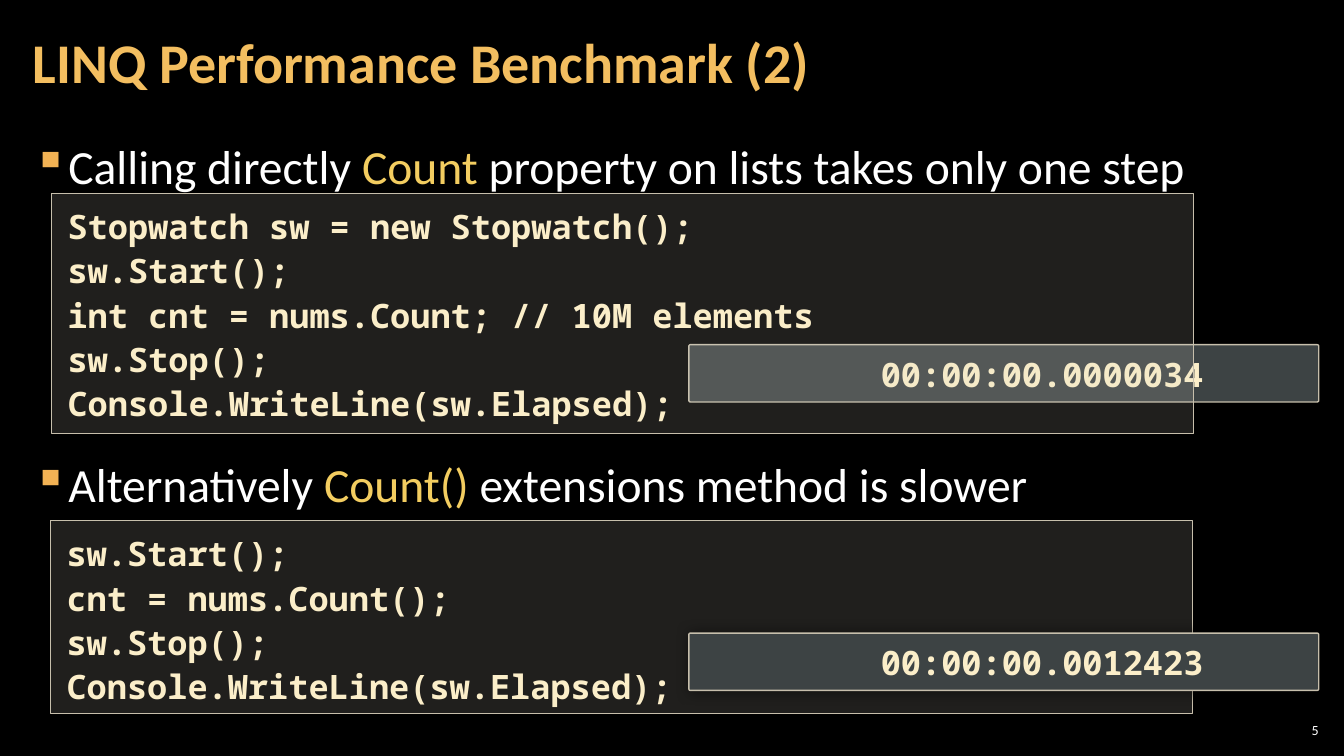
import pptx
import pptx.util
import pptx.dml.color
import pptx.enum.shapes
import pptx.enum.text
import pptx.oxml
import lxml.etree

Pt = pptx.util.Pt
SHAPES = pptx.enum.shapes.MSO_SHAPE
ANCHOR = pptx.enum.text.MSO_ANCHOR
ALIGN = pptx.enum.text.PP_ALIGN
qn = pptx.oxml.ns.qn

TITLE = "LINQ Performance Benchmark (2)"
PAGE_NUMBER = "5"
WHITE, GOLD, CREAM, BORDER = "FFFFFF", "F3CD60", "FBEEC9", "C7BFAC"
BULLETS = [
    (90.7, [("Calling directly ", WHITE), ("Count ", GOLD),
            ("property on lists takes only one step", WHITE)]),
    (317.7, [("Alternatively ", WHITE), ("Count()", GOLD),
             (" extensions method is slower", WHITE)]),
]
FAST_CODE = """Stopwatch sw = new Stopwatch();
sw.Start();
int cnt = nums.Count; // 10M elements
sw.Stop();
Console.WriteLine(sw.Elapsed);"""
SLOW_CODE = """sw.Start();
cnt = nums.Count();
sw.Stop();
Console.WriteLine(sw.Elapsed);"""


def color(hex_text):
    return pptx.dml.color.RGBColor.from_string(hex_text)


def add_xml(parent, tag, **attributes):
    element = lxml.etree.SubElement(parent, qn(tag))
    for name, value in attributes.items():
        element.set(name, str(value))
    return element


def set_frame(box, insets, anchor=ANCHOR.TOP):
    frame = box.text_frame
    frame.word_wrap = True
    frame.vertical_anchor = anchor
    frame.margin_left, frame.margin_top, frame.margin_right, frame.margin_bottom = map(Pt, insets)
    return frame


def style(span, size, hex_text, bold=False, name="Calibri"):
    span.font.size = Pt(size)
    span.font.name = name
    span.font.bold = bold
    span.font.color.rgb = color(hex_text)


def add_label(page, place, text, size, hex_text, insets, bold=False, align=ALIGN.LEFT, spacing=1.0):
    box = page.shapes.add_textbox(*map(Pt, place))
    frame = set_frame(box, insets, ANCHOR.MIDDLE)
    frame.text = text
    para = frame.paragraphs[0]
    para.alignment = align
    para.line_spacing = spacing
    style(para.runs[0], size, hex_text, bold)


def add_bullet(page, top, parts):
    box = page.shapes.add_textbox(Pt(15), Pt(top), Pt(930), Pt(60))
    para = set_frame(box, (8.5, 3, 8.5, 3)).paragraphs[0]
    para.line_spacing = 1.1
    para.space_before = para.space_after = Pt(6)
    for text, hex_text in parts:
        span = para.add_run()
        span.text = text
        style(span, 34, hex_text)
    properties = para._p.get_or_add_pPr()
    properties.set("marL", str(Pt(24)))
    properties.set("indent", str(-Pt(24)))
    add_xml(add_xml(properties, "a:buClr"), "a:srgbClr", val="F2B254")
    add_xml(properties, "a:buChar", char="▪")


def add_panel(page, kind, place, fill, text, insets, spacing):
    panel = page.shapes.add_shape(kind, *map(Pt, place))
    panel.shadow.inherit = False
    panel.fill.solid()
    panel.fill.fore_color.rgb = color(fill)
    panel.line.color.rgb = color(BORDER)
    panel.line.width = Pt(1)
    frame = set_frame(panel, insets)
    frame.text = text
    for para in frame.paragraphs:
        para.alignment = ALIGN.LEFT
        para.line_spacing = spacing
        style(para.runs[0], 24, CREAM, True, "Noto Sans Mono")
    return panel


def add_code(page, left, top, height, code):
    panel = add_panel(page, SHAPES.RECTANGLE, (left, top, 816, height), "D9D5C7",
                      code, (11.5, 6, 0, 6), 1.1)
    tint = panel._element.spPr.find(qn("a:solidFill"))[0]
    add_xml(tint, "a:alpha", val=15000)


def add_result(page, top, elapsed):
    panel = add_panel(page, SHAPES.ROUNDED_RECTANGLE, (492, top, 450, 41), "3D4344",
                      elapsed, (136.8, 6, 7, 6), 1.0)
    panel.adjustments[0] = 0.03
    effects = panel._element.spPr.find(qn("a:effectLst"))
    shadow = add_xml(effects, "a:outerShdw", blurRad=Pt(10), dist=0, dir=0,
                     algn="ctr", rotWithShape=0)
    add_xml(add_xml(shadow, "a:srgbClr", val="000000"), "a:alpha", val=50000)


def main():
    deck = pptx.Presentation()
    deck.slide_width, deck.slide_height = Pt(960), Pt(540)
    page = deck.slides.add_slide(deck.slide_layouts[6])
    page.background.fill.solid()
    page.background.fill.fore_color.rgb = color("000000")

    add_label(page, (911, 514, 34, 15), PAGE_NUMBER, 10, WHITE, (3, 3, 3, 3), align=ALIGN.RIGHT)
    for top, parts in BULLETS:
        add_bullet(page, top, parts)
    add_label(page, (15, 3, 754, 87), TITLE, 40, "F3BE60", (8.5, 3, 8.5, 3), True, spacing=0.9)
    add_code(page, 36, 372, 137.5, SLOW_CODE)
    add_result(page, 246.2, "00:00:00.0000034")
    add_code(page, 36.7, 138.2, 171.4, FAST_CODE)
    add_result(page, 452.2, "00:00:00.0012423")
    deck.save("out.pptx")


if __name__ == "__main__":
    main()
